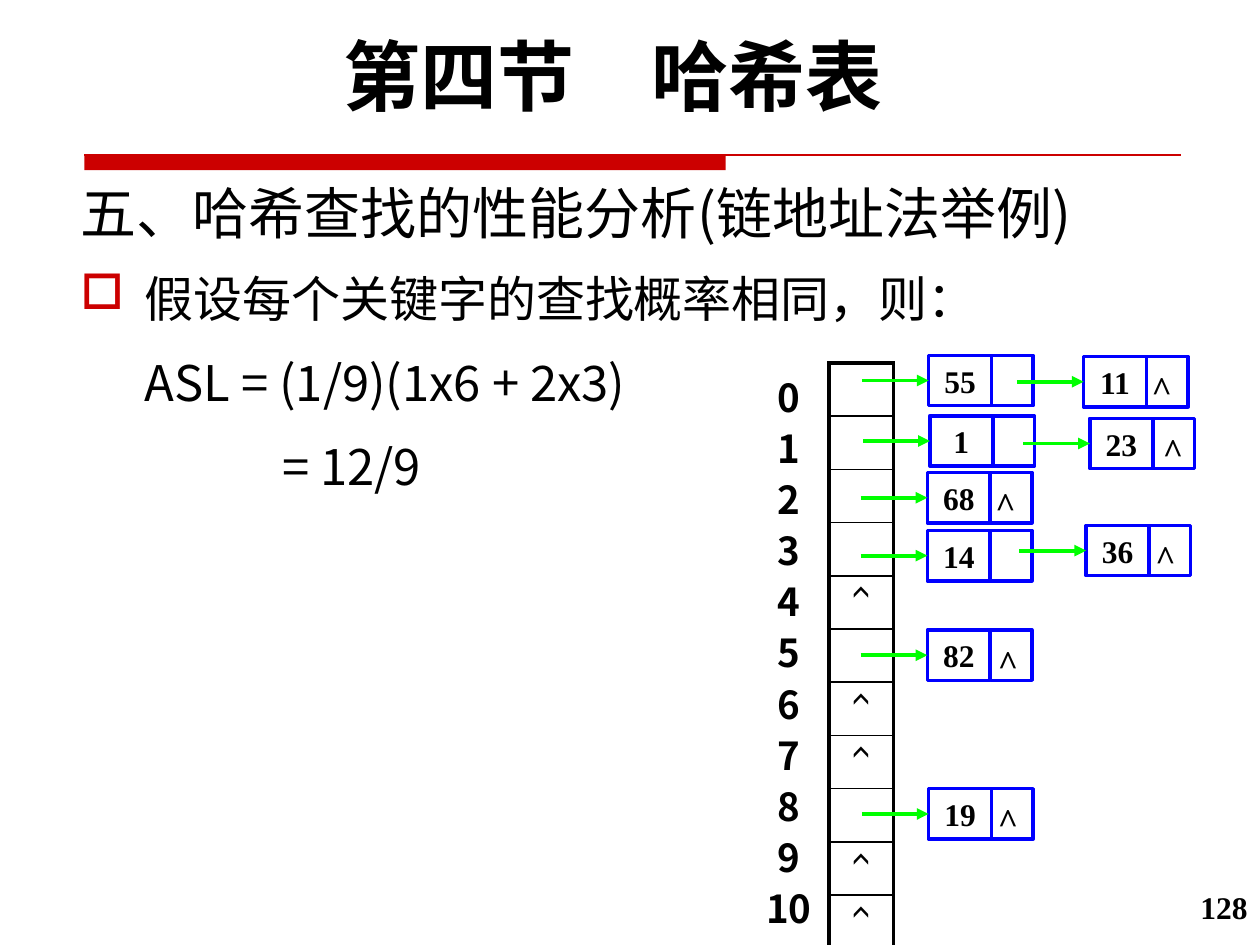
import pptx
import pptx.dml.color
import pptx.enum.shapes
import pptx.enum.text
import pptx.oxml.ns
import pptx.util
from lxml import etree

Inches, Pt = pptx.util.Inches, pptx.util.Pt
ALIGN = pptx.enum.text.PP_ALIGN
ANCHOR = pptx.enum.text.MSO_ANCHOR
RECTANGLE = pptx.enum.shapes.MSO_SHAPE.RECTANGLE
STRAIGHT = pptx.enum.shapes.MSO_CONNECTOR.STRAIGHT
qn = pptx.oxml.ns.qn

COLORS = {"text": "000000", "rule": "CC0000", "node": "0000FF", "arrow": "00FF00"}
SANS, DISPLAY, SERIF = "Noto Sans CJK SC", "Cabin", "Times New Roman"

CHAPTER = "第四节\u3000哈希表"
TITLE = "五、哈希查找的性能分析(链地址法举例)"
PAGE_NUMBER = "128"
# text, left indent in inches, bullet
BODY = [
    ("假设每个关键字的查找概率相同，则：", 0.51, "□"),
    ("ASL = (1/9)(1x6 + 2x3)", 0.51, None),
    ("= 12/9", 1.6, None),
]
BUCKET_COUNT = 11
EMPTY_BUCKETS = {4, 6, 7, 9, 10}
# key, left, top, offset of the end mark (None when the chain goes on)
NODES = [
    ("55", 7.37, 2.82, None), ("11", 8.6, 2.83, 0.54),
    ("1", 7.38, 3.3, None), ("23", 8.65, 3.32, 0.58),
    ("68", 7.36, 3.75, 0.54),
    ("14", 7.36, 4.21, None), ("36", 8.62, 4.17, 0.55),
    ("82", 7.36, 5, 0.56),
    ("19", 7.37, 6.26, 0.55),
]
KEY_WIDTH, LINK_WIDTH, NODE_HEIGHT, ARROW_LENGTH = 0.5, 0.33, 0.4, 0.53
TABLE_BOX = (6.58, 2.88, 0.51, 4.65)


def color(name):
    return pptx.dml.color.RGBColor.from_string(COLORS[name])


def add_run(paragraph, text, size, font, bold=False):
    run = paragraph.add_run()
    run.text = text
    run.font.size, run.font.name, run.font.bold = Pt(size), font, bold
    run.font.color.rgb = color("text")
    east_asian = etree.SubElement(run.font._element, qn("a:ea"))
    east_asian.set("typeface", font)


def add_text_box(slide, box, inset=True):
    frame = slide.shapes.add_textbox(*map(Inches, box)).text_frame
    frame.word_wrap = True
    if not inset:
        frame.margin_left = frame.margin_right = 0
        frame.margin_top = frame.margin_bottom = 0
    return frame


def add_label(slide, box, text, size, font, align=ALIGN.LEFT, bold=True, inset=True):
    paragraph = add_text_box(slide, box, inset).paragraphs[0]
    paragraph.alignment = align
    add_run(paragraph, text, size, font, bold)


def add_line(slide, start, end, color_name, width, arrow=False):
    line = slide.shapes.add_connector(STRAIGHT, *map(Inches, start + end))
    line.line.color.rgb = color(color_name)
    line.line.width = Pt(width)
    if arrow:
        etree.SubElement(line.line._get_or_add_ln(), qn("a:tailEnd"), type="triangle")
    etree.SubElement(line._element.spPr, qn("a:effectLst"))


def add_rectangle(slide, box, outline=None, fill=None):
    shape = slide.shapes.add_shape(RECTANGLE, *map(Inches, box))
    shape.shadow.inherit = False
    if fill:
        shape.fill.solid()
        shape.fill.fore_color.rgb = color(fill)
    else:
        shape.fill.background()
    if outline:
        shape.line.color.rgb = color(outline)
        shape.line.width = Pt(2)
    else:
        shape.line.fill.background()
    return shape


def add_headings(slide):
    add_rectangle(slide, (0.67, 1.23, 5.09, 0.12), fill="rule")
    add_line(slide, (0.67, 1.23), (9.37, 1.23), "rule", 0.75)
    title = slide.shapes.title
    title.left, title.top, title.width, title.height = map(Inches, (0.54, 1.25, 9.5, 0.75))
    title.text_frame.vertical_anchor = ANCHOR.BOTTOM
    paragraph = title.text_frame.paragraphs[0]
    paragraph.alignment = ALIGN.LEFT
    add_run(paragraph, TITLE, 32, SANS)
    add_label(slide, (0.24, 0.18, 9.25, 0.84), CHAPTER, 44, DISPLAY, ALIGN.CENTER)
    add_label(slide, (9.08, 7, 0.92, 0.4), PAGE_NUMBER, 18, SERIF, ALIGN.RIGHT)


def add_body(slide):
    frame = add_text_box(slide, (0.54, 2.08, 9.21, 1.35))
    for index, (text, indent, bullet) in enumerate(BODY):
        paragraph = frame.add_paragraph() if index else frame.paragraphs[0]
        properties = paragraph._p.get_or_add_pPr()
        properties.set("marL", str(Inches(indent)))
        properties.set("indent", str(-Inches(indent) if bullet else 0))
        if bullet:
            bullet_color = etree.SubElement(properties, qn("a:buClr"))
            etree.SubElement(bullet_color, qn("a:srgbClr"), val=COLORS["rule"])
            etree.SubElement(properties, qn("a:buChar"), char=bullet)
        paragraph.line_spacing = Pt(34)
        if index:
            paragraph.space_before = Pt(14)
        add_run(paragraph, text, 28, SANS)


def set_borders(cell, widths):
    properties = cell._tc.get_or_add_tcPr()
    for position, (side, width) in enumerate(widths.items()):
        border = etree.Element(qn("a:" + side), w=str(Pt(width)))
        fill = etree.SubElement(border, qn("a:solidFill"))
        etree.SubElement(fill, qn("a:srgbClr"), val=COLORS["text"])
        properties.insert(position, border)


def add_buckets(slide):
    table = slide.shapes.add_table(BUCKET_COUNT, 1, *map(Inches, TABLE_BOX)).table
    table.first_row = table.horz_banding = False
    last = BUCKET_COUNT - 1
    for index in range(BUCKET_COUNT):
        cell = table.cell(index, 0)
        cell.fill.background()
        cell.margin_top = cell.margin_bottom = 0
        set_borders(cell, {"lnL": 2.25, "lnR": 2.25,
                           "lnT": 1 if index else 2.25,
                           "lnB": 2.25 if index == last else 1})
        if index in EMPTY_BUCKETS:
            paragraph = cell.text_frame.paragraphs[0]
            paragraph.alignment = ALIGN.CENTER
            paragraph.line_spacing = 1.1
            add_run(paragraph, "^", 20, DISPLAY)

    frame = add_text_box(slide, (5.97, 2.88, 0.58, 4.65))
    for index in range(BUCKET_COUNT):
        paragraph = frame.add_paragraph() if index else frame.paragraphs[0]
        paragraph.alignment = ALIGN.CENTER
        paragraph.line_spacing = Pt(29.2)
        add_run(paragraph, str(index), 22, SANS, True)


def add_node(slide, key, left, top, end_mark):
    """Draw a key cell, its link cell and the arrow that leads to them."""
    key_cell = add_rectangle(slide, (left, top, KEY_WIDTH, NODE_HEIGHT), "node")
    key_cell.text_frame.vertical_anchor = ANCHOR.MIDDLE
    paragraph = key_cell.text_frame.paragraphs[0]
    paragraph.alignment = ALIGN.CENTER
    add_run(paragraph, key, 18, SERIF, True)
    add_rectangle(slide, (left + KEY_WIDTH, top, LINK_WIDTH, NODE_HEIGHT), "node")
    middle = top + NODE_HEIGHT / 2
    add_line(slide, (left - ARROW_LENGTH, middle), (left, middle), "arrow", 2.25, True)
    if end_mark is not None:
        add_label(slide, (left + end_mark, top + 0.08, 0.33, 0.34), "^", 20, SERIF,
                  inset=False)


def main():
    presentation = pptx.Presentation()
    presentation.slide_width, presentation.slide_height = Inches(10), Inches(7.5)
    slide = presentation.slides.add_slide(presentation.slide_layouts[5])
    add_headings(slide)
    add_body(slide)
    add_buckets(slide)
    for node in NODES:
        add_node(slide, *node)
    presentation.save("out.pptx")


if __name__ == "__main__":
    main()
